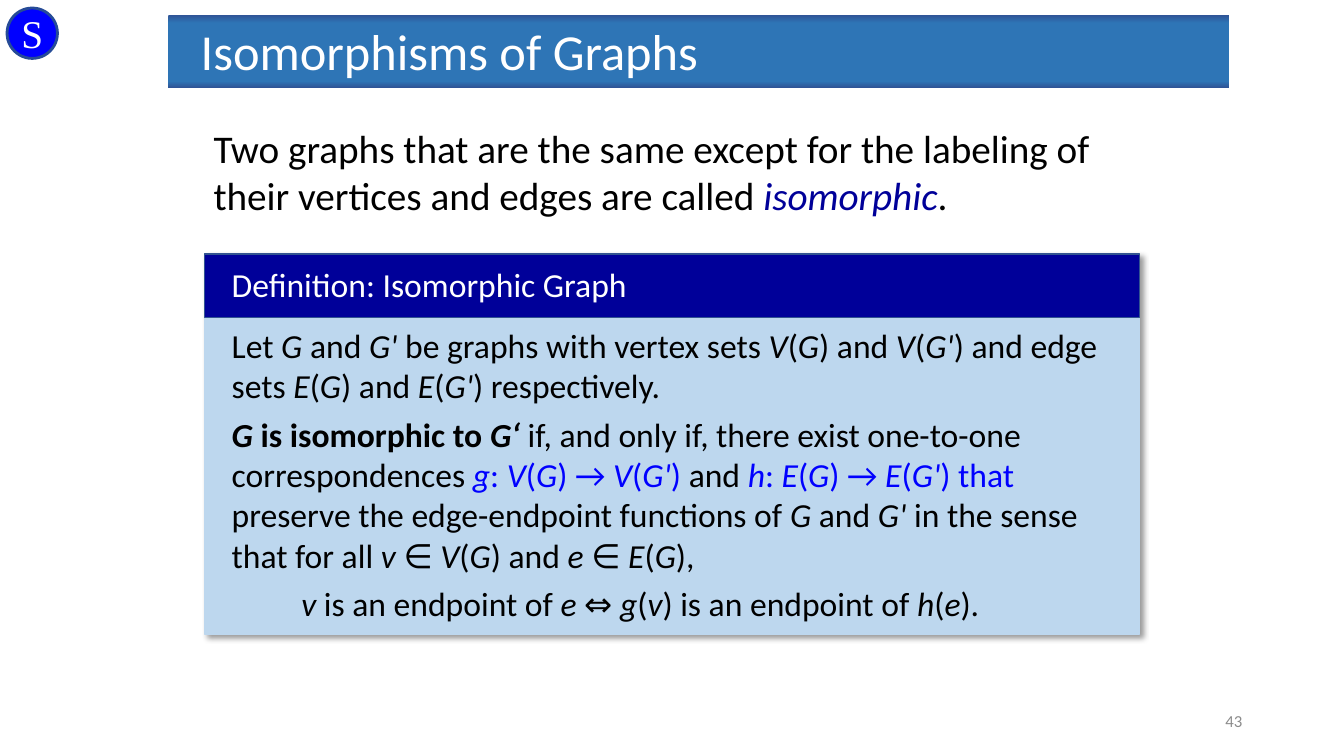
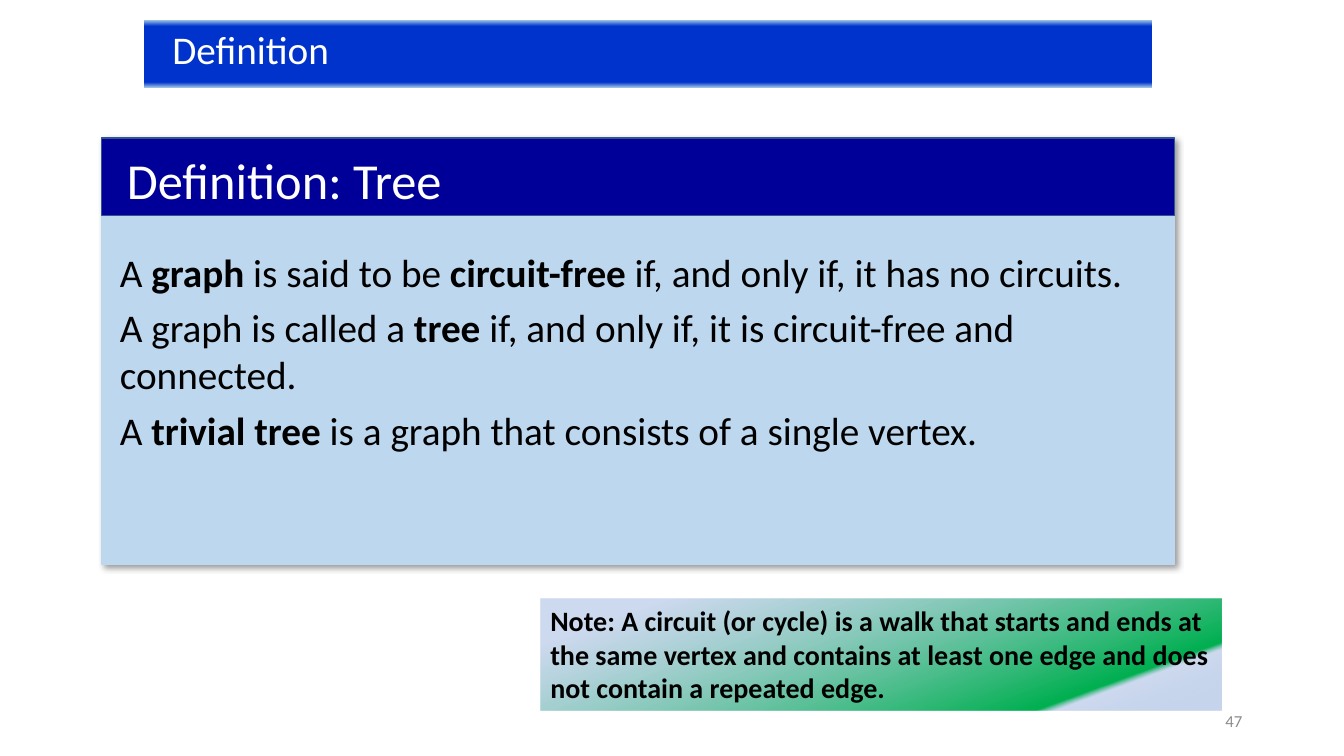
from dataclasses import dataclass
from typing import Any

import lxml.etree
import pptx
import pptx.dml.color
import pptx.enum.shapes
import pptx.enum.text
import pptx.oxml
import pptx.oxml.ns
import pptx.shapes.autoshape
import pptx.slide
import pptx.util

PX = 9144  # EMU in one px, 100 px to the inch
WHITE, BLACK, GREY = "FFFFFF", "000000", "8C8C8C"
NAVY, BLUE, PALE_BLUE = "000099", "0000FF", "BDD7EE"
Anchor = pptx.enum.text.MSO_ANCHOR
Align = pptx.enum.text.PP_ALIGN
Preset = pptx.enum.shapes.MSO_SHAPE


@dataclass(frozen=True)
class Box:
    left: int
    top: int
    width: int
    height: int

    def emu(self) -> list[int]:
        return [value * PX for value in (self.left, self.top, self.width, self.height)]


@dataclass(frozen=True)
class TextStyle:
    size: int
    color: str = BLACK
    accent: str = BLUE
    bold: bool = False
    font: str = "Calibri"
    align: Any = Align.LEFT
    anchor: Any = Anchor.TOP
    inset: int = 10
    space_after: int = 0


@dataclass(frozen=True)
class Stop:
    position: int
    color: str
    opacity: int = 100


@dataclass(frozen=True)
class Paragraph:
    """Text in which _ toggles italic, * bold and ~ the accent colour."""
    text: str
    indent: int = 0


@dataclass(frozen=True)
class TitleBand:
    box: Box
    text: str
    size: int
    inset: int
    edge: str
    middle: str
    fade: tuple[int, int]


@dataclass(frozen=True)
class DefinitionCard:
    box: Box
    header_height: int
    heading: str
    heading_box: Box
    heading_size: int
    body: list[Paragraph]
    body_box: Box
    body_size: int


# Formatting helpers

def rgb(color: str) -> pptx.dml.color.RGBColor:
    return pptx.dml.color.RGBColor.from_string(color)


def set_all(target: Any, values: dict[str, Any]) -> None:
    for name, value in values.items():
        setattr(target, name, value)


def color_xml(color: str, opacity: int) -> str:
    return f'<a:srgbClr val="{color}"><a:alpha val="{opacity * 1000}"/></a:srgbClr>'


def drawing_xml(xml: str) -> lxml.etree.ElementBase:
    """Parse one element, given with its closing '/>' or end tag."""
    wrapper = pptx.oxml.parse_xml(f"<a:wrap {pptx.oxml.ns.nsdecls('a')}>{xml}</a:wrap>")
    return wrapper[0]


def fill_gradient(shape: pptx.shapes.autoshape.Shape, stops: list[Stop], angle: int) -> None:
    shape.fill.background()
    properties = shape._element.spPr
    placeholder = properties.find(pptx.oxml.ns.qn("a:noFill"))
    stop_xml = "".join(
        f'<a:gs pos="{stop.position * 1000}">{color_xml(stop.color, stop.opacity)}</a:gs>'
        for stop in stops)
    properties.replace(placeholder, drawing_xml(
        f'<a:gradFill rotWithShape="1"><a:gsLst>{stop_xml}</a:gsLst>'
        f'<a:lin ang="{angle * 60000}" scaled="0"/></a:gradFill>'))


def add_shadow(shape: pptx.shapes.autoshape.Shape) -> None:
    properties = shape._element.spPr
    properties.remove(properties.find(pptx.oxml.ns.qn("a:effectLst")))
    properties.append(drawing_xml(
        '<a:effectLst><a:outerShdw blurRad="50800" dist="38100" dir="2700000" '
        f'algn="tl" rotWithShape="0">{color_xml(BLACK, 40)}</a:outerShdw></a:effectLst>'))


# Text and shapes

def write_runs(paragraph: Any, text: str, style: TextStyle) -> None:
    italic, bold, accent, piece = False, style.bold, False, ""
    for character in text + "_":
        if character not in "_*~":
            piece += character
            continue
        if piece:
            run = paragraph.add_run()
            run.text = piece
            set_all(run.font, {"name": style.font, "size": pptx.util.Pt(style.size),
                               "bold": bold, "italic": italic})
            run.font.color.rgb = rgb(style.accent if accent else style.color)
            piece = ""
        italic ^= character == "_"
        bold ^= character == "*"
        accent ^= character == "~"


def write_text(shape: Any, paragraphs: list[Paragraph], style: TextStyle) -> None:
    frame = shape.text_frame
    set_all(frame, {"word_wrap": True, "vertical_anchor": style.anchor,
                    "margin_left": style.inset * PX, "margin_right": min(style.inset, 10) * PX,
                    "margin_top": 5 * PX, "margin_bottom": 5 * PX})
    for index, content in enumerate(paragraphs):
        paragraph = frame.add_paragraph() if index else frame.paragraphs[0]
        set_all(paragraph, {"alignment": style.align,
                            "space_after": pptx.util.Pt(style.space_after)})
        if content.indent:
            paragraph._p.get_or_add_pPr().set("marL", str(content.indent * PX))
        write_runs(paragraph, content.text, style)


def add_text(shapes: Any, box: Box, paragraphs: list[Paragraph], style: TextStyle) -> None:
    write_text(shapes.add_textbox(*box.emu()), paragraphs, style)


def add_panel(shapes: Any, box: Box, fill: str = "", line: str = "", line_width: int = 1,
              preset: Any = Preset.RECTANGLE) -> pptx.shapes.autoshape.Shape:
    shape = shapes.add_shape(preset, *box.emu())
    shape.shadow.inherit = False
    if fill:
        shape.fill.solid()
        shape.fill.fore_color.rgb = rgb(fill)
    if line:
        shape.line.color.rgb = rgb(line)
        shape.line.width = pptx.util.Pt(line_width)
    else:
        shape.line.fill.background()
    return shape


# Parts of the slides

def add_title_band(slide: pptx.slide.Slide, band: TitleBand) -> None:
    shape = add_panel(slide.shapes, band.box)
    start, end = band.fade
    fill_gradient(shape, [Stop(0, band.edge), Stop(start, band.middle),
                          Stop(end, band.middle), Stop(100, band.edge)], 90)
    write_text(shape, [Paragraph(band.text)], TextStyle(band.size, WHITE, inset=band.inset))


def add_definition_card(slide: pptx.slide.Slide, card: DefinitionCard) -> None:
    shapes = slide.shapes.add_group_shape().shapes
    add_shadow(add_panel(shapes, card.box, PALE_BLUE, PALE_BLUE))
    header = Box(card.box.left, card.box.top, card.box.width, card.header_height)
    add_panel(shapes, header, NAVY, "325491")
    add_text(shapes, card.heading_box, [Paragraph(card.heading)],
             TextStyle(card.heading_size, WHITE))
    add_text(shapes, card.body_box, card.body, TextStyle(card.body_size, space_after=6))


def add_badge(slide: pptx.slide.Slide, letter: str) -> None:
    badge = add_panel(slide.shapes, Box(7, 8, 50, 50), BLUE, "264B97", 2,
                      Preset.FLOWCHART_CONNECTOR)
    write_text(badge, [Paragraph(letter)],
               TextStyle(28, WHITE, font="Times New Roman", align=Align.CENTER,
                         anchor=Anchor.MIDDLE, inset=0))


def add_note(slide: pptx.slide.Slide, box: Box, text: str) -> None:
    note = add_panel(slide.shapes, box)
    fill_gradient(note, [Stop(13, "ABC0E4", 59), Stop(81, "00B050"),
                         Stop(83, "ABC0E4", 59), Stop(100, "C7D5ED")], 70)
    write_text(note, [Paragraph(text)], TextStyle(20, bold=True))


def add_slide(presentation: Any, number: int, band: TitleBand,
              card: DefinitionCard) -> pptx.slide.Slide:
    slide = presentation.slides.add_slide(presentation.slide_layouts[6])
    add_text(slide.shapes, Box(942, 695, 300, 40), [Paragraph(str(number))],
             TextStyle(12, GREY, align=Align.RIGHT, anchor=Anchor.MIDDLE))
    add_title_band(slide, band)
    add_definition_card(slide, card)
    return slide


# Content

ISOMORPHISM_BAND = TitleBand(Box(167, 15, 1052, 72), "Isomorphisms of Graphs", 36, 32,
                             "2F5597", "2E75B6", (11, 91))
ISOMORPHISM_CARD = DefinitionCard(
    Box(203, 252, 927, 377), 63,
    "Definition: Isomorphic Graph", Box(220, 257, 883, 50), 24,
    [Paragraph("Let _G_ and _G' _be graphs with vertex sets _V_(_G_) and _V_(_G'_) "
               "and edge sets _E_(_G_) and _E_(_G'_) respectively."),
     Paragraph("*_G _is isomorphic to _G‘ _*if, and only if, there exist one-to-one "
               "correspondences ~_g_: _V_(_G_) → _V_(_G'_) ~and "
               "~_h_: _E_(_G_) → _E_(_G'_) that ~preserve the edge-endpoint functions of "
               "_G_ and _G'_ in the sense that for all _v _∈ _V_(_G_) and _e _∈_ E_(_G_),"),
     Paragraph("_v _is an endpoint of _e _⇔ _g_(_v_) is an endpoint of _h_(_e_).", 69)],
    Box(220, 317, 883, 310), 24)

TREE_BAND = TitleBand(Box(143, 20, 1000, 67), "Definition", 28, 28,
                      "9DC3E6", "0033CC", (9, 92))
TREE_CARD = DefinitionCard(
    Box(101, 137, 1064, 423), 77,
    "Definition: Tree", Box(116, 143, 546, 71), 36,
    [Paragraph("A *graph* is said to be *circuit-free* if, and only if, it has no circuits."),
     Paragraph("A graph is called a *tree* if, and only if, it is circuit-free and connected."),
     Paragraph("A *trivial tree* is a graph that consists of a single vertex.")],
    Box(109, 241, 1049, 215), 28)


def main() -> None:
    presentation = pptx.Presentation()
    set_all(presentation, {"slide_width": 1333 * PX, "slide_height": 750 * PX})

    isomorphism = add_slide(presentation, 43, ISOMORPHISM_BAND, ISOMORPHISM_CARD)
    add_text(isomorphism.shapes, Box(202, 118, 913, 104),
             [Paragraph("Two graphs that are the same except for the labeling of "
                        "their vertices and edges are called ~_isomorphic_~.")],
             TextStyle(28, accent=NAVY))
    add_badge(isomorphism, "S")

    tree = add_slide(presentation, 47, TREE_BAND, TREE_CARD)
    add_note(tree, Box(536, 594, 676, 111),
             "Note: A circuit (or cycle) is a walk that starts and ends at the same vertex "
             "and contains at least one edge and does not contain a repeated edge.")

    presentation.save("out.pptx")


if __name__ == "__main__":
    main()
